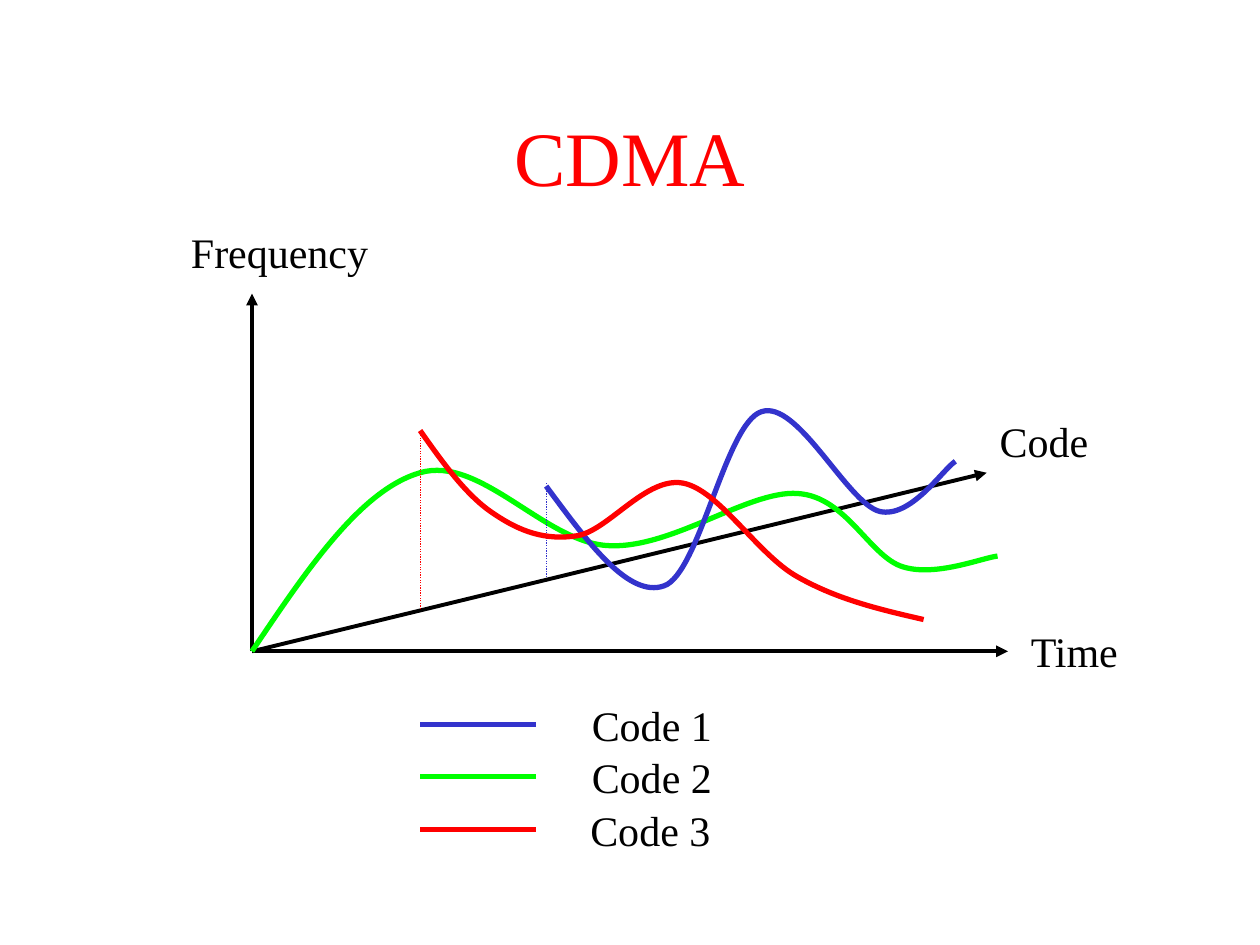
from dataclasses import dataclass

from lxml import etree
from pptx import Presentation
from pptx.dml.color import RGBColor
from pptx.enum.dml import MSO_LINE
from pptx.enum.shapes import MSO_CONNECTOR
from pptx.enum.text import MSO_ANCHOR, MSO_AUTO_SIZE, PP_ALIGN
from pptx.oxml.ns import qn
from pptx.util import Cm, Pt

STRAIGHT = MSO_CONNECTOR.STRAIGHT
DOTTED = MSO_LINE.ROUND_DOT
CENTER, LEFT = PP_ALIGN.CENTER, PP_ALIGN.LEFT
MIDDLE, TOP = MSO_ANCHOR.MIDDLE, MSO_ANCHOR.TOP
FIT_SHAPE, NO_FIT = MSO_AUTO_SIZE.SHAPE_TO_FIT_TEXT, MSO_AUTO_SIZE.NONE
TITLE_ONLY = 5


@dataclass(frozen=True)
class Theme:
    font: str = "Times New Roman"
    black: str = "000000"
    red: str = "FF0000"
    green: str = "00FF00"
    blue: str = "3333CC"
    title_size: int = 44
    label_size: int = 24
    axis_width: float = 2.25
    curve_width: float = 3
    guide_width: float = 0.75


def write_text(frame, text, *, font, size, color, align=LEFT, anchor=TOP,
               wrap=False, fit=FIT_SHAPE, spacing=None):
    frame.word_wrap = wrap
    frame.auto_size = fit
    frame.vertical_anchor = anchor
    frame.text = text
    paragraph = frame.paragraphs[0]
    paragraph.alignment = align
    paragraph.line_spacing = spacing
    run_font = paragraph.runs[0].font
    run_font.name = font
    run_font.size = Pt(size)
    run_font.color.rgb = RGBColor.from_string(color)


class Diagram:
    def __init__(self, slide, theme):
        self.slide = slide
        self.theme = theme

    def title(self, text, left, top, width, height):
        shape = self.slide.shapes.title
        shape.left, shape.top = Cm(left), Cm(top)
        shape.width, shape.height = Cm(width), Cm(height)
        write_text(shape.text_frame, text, font=self.theme.font,
                   size=self.theme.title_size, color=self.theme.red,
                   align=CENTER, anchor=MIDDLE, wrap=True, fit=NO_FIT,
                   spacing=0.85)

    def label(self, text, left, top, width):
        shape = self.slide.shapes.add_textbox(Cm(left), Cm(top), Cm(width), Cm(1.27))
        write_text(shape.text_frame, text, font=self.theme.font,
                   size=self.theme.label_size, color=self.theme.black)

    def line(self, start, end, color, width, dash=None, arrow=False):
        ends = [Cm(value) for value in (*start, *end)]
        connector = self.slide.shapes.add_connector(STRAIGHT, *ends)
        connector.line.color.rgb = RGBColor.from_string(color)
        connector.line.width = Pt(width)
        if dash:
            connector.line.dash_style = dash
        if arrow:
            outline = connector.line._get_or_add_ln()
            etree.SubElement(outline, qn("a:tailEnd"), type="triangle")
        etree.SubElement(connector._element.spPr, qn("a:effectLst"))
        connector._element.remove(connector._element.find(qn("p:style")))

    def curve(self, points, color):
        start, *rest = [(Cm(x), Cm(y)) for x, y in points]
        builder = self.slide.shapes.build_freeform(*start, scale=1.0)
        builder.add_line_segments(rest, close=False)
        shape = builder.convert_to_shape()
        outline = next(shape._element.iter(qn("a:path")))
        segments = outline.findall(qn("a:lnTo"))
        for first in range(0, len(segments), 3):
            bezier = etree.SubElement(outline, qn("a:cubicBezTo"))
            for segment in segments[first:first + 3]:
                bezier.append(segment[0])
                outline.remove(segment)
        shape.fill.background()
        shape.line.color.rgb = RGBColor.from_string(color)
        shape.line.width = Pt(self.theme.curve_width)
        shape.shadow.inherit = False


def main():
    presentation = Presentation()
    presentation.slide_width, presentation.slide_height = Cm(25.4), Cm(19.05)
    slide = presentation.slides.add_slide(presentation.slide_layouts[TITLE_ONLY])
    theme = Theme()
    diagram = Diagram(slide, theme)
    diagram.title("CDMA", 1.9, 1.7, 21.6, 3.18)

    origin = (5.08, 13.13)
    axes = [
        ("Frequency", (5.08, 5.92), (3.6, 4.45), 4.2),
        ("Code", (19.89, 9.53), (19.9, 8.26), 2.4),
        ("Time", (20.32, 13.13), (20.53, 12.49), 2.4),
    ]
    for name, tip, position, width in axes:
        diagram.line(origin, tip, theme.black, theme.axis_width, arrow=True)
        diagram.label(name, *position, width)

    green_curve = [
        origin, (6.17, 11.51), (7.26, 9.88), (8.47, 9.53),
        (9.68, 9.17), (11, 10.95), (12.27, 11),
        (13.54, 11.07), (15.09, 9.88), (16.08, 9.95),
        (17.07, 10.01), (17.53, 11.23), (18.21, 11.43),
        (18.87, 11.63), (19.79, 11.25), (20.11, 11.21),
    ]
    blue_curve = [
        (11.01, 9.8), (11.84, 10.92), (12.67, 12.07), (13.39, 11.81),
        (14.1, 11.56), (14.63, 8.53), (15.35, 8.3),
        (16.08, 8.05), (17.07, 10.13), (17.73, 10.31),
        (18.36, 10.46), (19, 9.47), (19.26, 9.3),
    ]
    red_curve = [
        (8.47, 8.68), (8.94, 9.35), (9.42, 10.01), (9.96, 10.36),
        (10.49, 10.72), (11, 10.9), (11.64, 10.8),
        (12.27, 10.69), (13.03, 9.6), (13.77, 9.74),
        (14.5, 9.88), (15.27, 11.18), (16.08, 11.63),
        (16.89, 12.09), (17.75, 12.29), (18.62, 12.49),
    ]
    diagram.curve(green_curve, theme.green)
    diagram.line((11.01, 9.74), (11.01, 11.64), theme.blue, theme.guide_width, dash=DOTTED)
    diagram.curve(blue_curve, theme.blue)
    diagram.line((8.47, 12.28), (8.47, 8.68), theme.red, theme.guide_width, dash=DOTTED)
    diagram.curve(red_curve, theme.red)

    legend = [
        ("Code 1", theme.blue, 11.68),
        ("Code 2", theme.green, 11.68),
        ("Code 3", theme.red, 11.65),
    ]
    for index, (name, color, left) in enumerate(legend):
        middle = 14.6 + 1.06 * index
        diagram.line((8.47, middle), (10.8, middle), color, theme.curve_width)
        diagram.label(name, left, middle - 0.63, 3.1)

    presentation.save("out.pptx")


if __name__ == "__main__":
    main()
